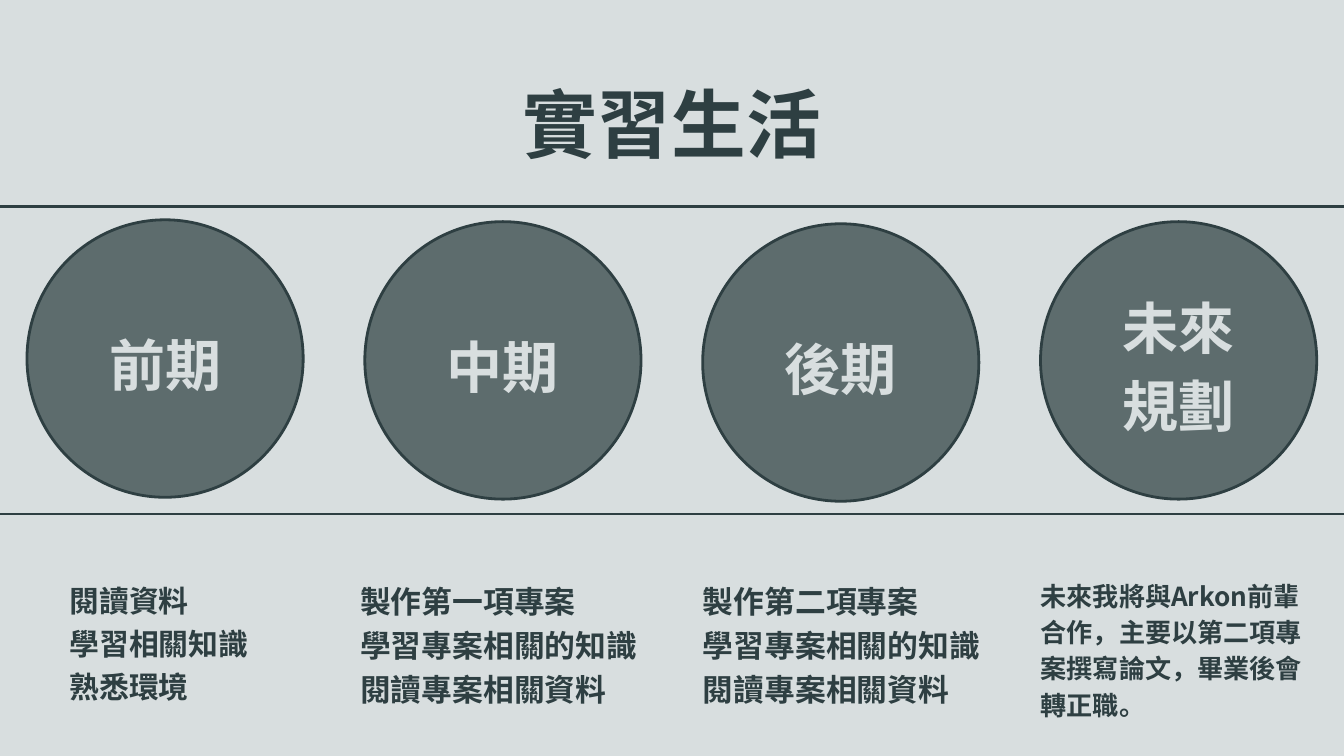
"""Build the internship life slide with four phases and their notes."""
from dataclasses import dataclass

from lxml import etree
from pptx import Presentation
from pptx.dml.color import RGBColor
from pptx.enum.shapes import MSO_CONNECTOR, MSO_SHAPE
from pptx.enum.text import MSO_ANCHOR, MSO_AUTO_SIZE, PP_ALIGN
from pptx.oxml.ns import qn
from pptx.util import Cm, Pt

OVAL = MSO_SHAPE.OVAL
STRAIGHT = MSO_CONNECTOR.STRAIGHT
TOP, MIDDLE = MSO_ANCHOR.TOP, MSO_ANCHOR.MIDDLE
NO_FIT = MSO_AUTO_SIZE.NONE
LEFT, CENTER = PP_ALIGN.LEFT, PP_ALIGN.CENTER

SLIDE_W, SLIDE_H = 50.8, 28.58
RULES_Y = (7.82, 19.43)
CIRCLE_X, CIRCLE_STEP = 1.02, 12.77
CIRCLE_W, CIRCLE_H = 10.44, 10.49
NOTE_Y = 21.74


@dataclass(frozen=True)
class Theme:
    font: str = "Noto Sans CJK SC"
    paper: RGBColor = RGBColor(0xD8, 0xDE, 0xDF)
    ink: RGBColor = RGBColor(0x2E, 0x3F, 0x42)
    disc: RGBColor = RGBColor(0x5D, 0x6C, 0x6D)
    title: int = 80
    phase: int = 60
    line: int = 3


def write(tf, text, *, font, size, color, align=LEFT, anchor=TOP, spacing=1.16):
    tf.word_wrap = True
    tf.auto_size = NO_FIT
    tf.vertical_anchor = anchor
    tf.margin_left = tf.margin_right = tf.margin_top = tf.margin_bottom = 0
    for i, line in enumerate(text.split("\n")):
        p = tf.add_paragraph() if i else tf.paragraphs[0]
        p.alignment = align
        p.line_spacing = spacing
        r = p.add_run()
        r.text = line
        r.font.name = font
        r.font.size = Pt(size)
        r.font.bold = True
        r.font.color.rgb = color
        ea = etree.SubElement(r.font._element, qn("a:ea"))
        ea.set("typeface", font)


class Deck:
    def __init__(self, theme):
        self.theme = theme
        self.prs = Presentation()
        self.prs.slide_width, self.prs.slide_height = Cm(SLIDE_W), Cm(SLIDE_H)
        self.s = self.prs.slides.add_slide(self.prs.slide_layouts[5])
        fill = self.s.background.fill
        fill.solid()
        fill.fore_color.rgb = theme.paper

    def title(self, text, x, y, w, h):
        sp = self.s.shapes.title
        sp.left, sp.top, sp.width, sp.height = Cm(x), Cm(y), Cm(w), Cm(h)
        write(sp.text_frame, text, font=self.theme.font, size=self.theme.title,
              color=self.theme.ink, align=CENTER)

    def rule(self, y):
        cxn = self.s.shapes.add_connector(STRAIGHT, 0, Cm(y), Cm(SLIDE_W), Cm(y))
        cxn.line.color.rgb = self.theme.ink
        cxn.line.width = Pt(self.theme.line)
        etree.SubElement(cxn._element.spPr, qn("a:effectLst"))

    def circle(self, text, x, y):
        sp = self.s.shapes.add_shape(OVAL, Cm(x), Cm(y), Cm(CIRCLE_W), Cm(CIRCLE_H))
        sp.shadow.inherit = False
        sp.fill.solid()
        sp.fill.fore_color.rgb = self.theme.disc
        sp.line.color.rgb = self.theme.ink
        sp.line.width = Pt(self.theme.line)
        write(sp.text_frame, text, font=self.theme.font, size=self.theme.phase,
              color=self.theme.paper, align=CENTER, anchor=MIDDLE)

    def note(self, text, x, w, h, size, spacing):
        sp = self.s.shapes.add_textbox(Cm(x), Cm(NOTE_Y), Cm(w), Cm(h))
        write(sp.text_frame, text, font=self.theme.font, size=size,
              color=self.theme.ink, spacing=spacing)


PHASES = [("前期", 8.31), ("中期", 8.38), ("後期", 8.46), ("未來\n規劃", 8.38)]
PROJECT = "製作第{}項專案\n學習專案相關的知識\n閱讀專案相關資料"
NOTES = [
    ("閱讀資料\n學習相關知識\n熟悉環境", 2.62, 7.21, 4.93, 32, 1.2),
    (PROJECT.format("一"), 13.61, 10.82, 5.08, 33, 1.2),
    (PROJECT.format("二"), 26.57, 10.82, 5.08, 33, 1.2),
    ("未來我將與Arkon前輩合作，主要以第二項專案撰寫論文，畢業後會轉正職。",
     39.34, 10.44, 5.56, 28, 1.16),
]


def main():
    deck = Deck(Theme())
    deck.title("實習生活", 4.34, 2.39, 42.09, 4.67)
    for y in RULES_Y:
        deck.rule(y)
    for i, (text, y) in enumerate(PHASES):
        deck.circle(text, CIRCLE_X + i * CIRCLE_STEP, y)
    for note in NOTES:
        deck.note(*note)
    deck.prs.save("out.pptx")


if __name__ == "__main__":
    main()
